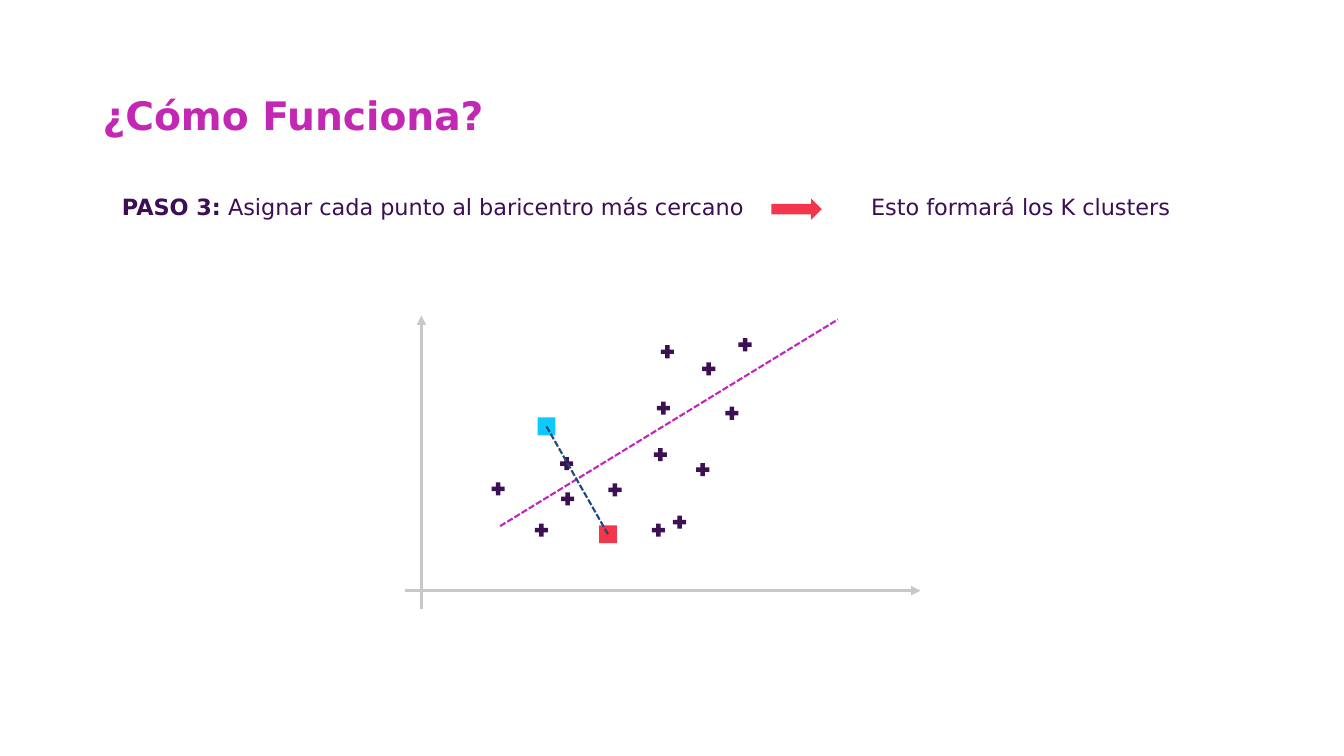
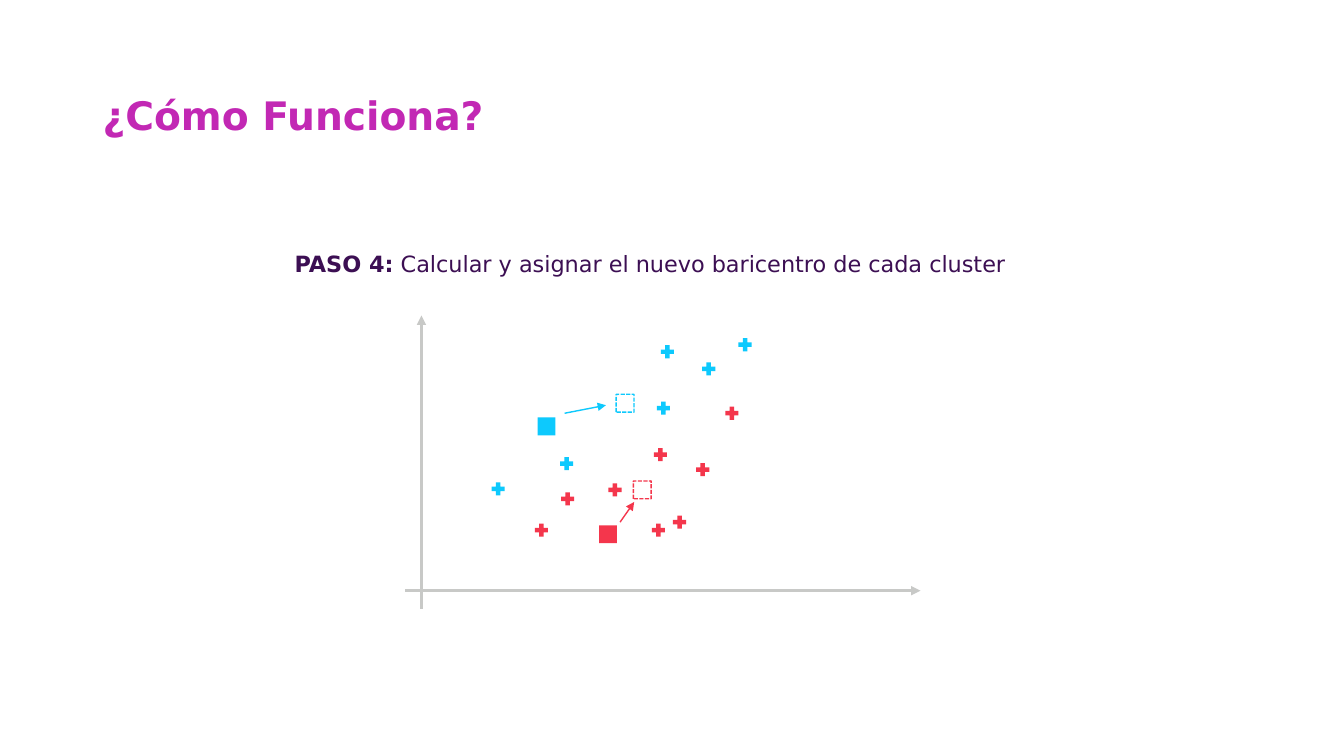
from pptx import Presentation
from pptx.dml.color import RGBColor
from pptx.enum.dml import MSO_LINE
from pptx.enum.shapes import MSO_CONNECTOR, MSO_SHAPE
from pptx.enum.text import MSO_ANCHOR, PP_ALIGN
from pptx.oxml.ns import qn
from pptx.util import Inches, Pt
from lxml.etree import SubElement

FONT = "DejaVu Sans"
COLORS = {
    "title": "C228B4",
    "text": "3C0F53",
    "point": "3C1053",
    "axis": "C8C9C7",
    "border": "C126B8",
    "link": "1F497D",
    "blue": "0DC9FD",
    "red": "F4364C",
}
TITLE = "¿Cómo Funciona?"
STEP_3 = [("PASO 3:", True), (" Asignar cada punto al baricentro más cercano", False)]
STEP_3_RESULT = [("Esto formará los K clusters", False)]
STEP_4 = [("PASO 4:", True), (" Calcular y asignar el nuevo baricentro de cada cluster", False)]

AXES = [((4.18, 6.04), (4.18, 3.13)), ((4.02, 5.86), (9.13, 5.86))]
CLUSTERS = {
    "blue": [(4.94, 4.85), (5.62, 4.6), (6.58, 4.05), (7.03, 3.66), (7.39, 3.42), (6.62, 3.49)],
    "red": [(7.26, 4.1), (5.37, 5.26), (6.55, 4.51), (6.74, 5.18),
            (5.63, 4.95), (6.1, 4.86), (6.53, 5.26), (6.97, 4.66)],
}
CENTROIDS = {"red": (6.03, 5.3), "blue": (5.42, 4.23)}
NEW_CENTROIDS = {"blue": (6.2, 4), "red": (6.37, 4.86)}
MOVES = {"blue": ((5.6, 4.1), (6.01, 4.02)), "red": ((6.15, 5.18), (6.29, 4.98))}
BORDER = ((4.96, 5.22), (8.31, 3.17))
CROSS_SIZE = 0.13
DIAMOND_SIZE = 0.25


def color(name):
    return RGBColor.from_string(COLORS[name])


def add_text(page, left, top, width, height, spans, align=PP_ALIGN.LEFT):
    box = page.shapes.add_textbox(Inches(left), Inches(top), Inches(width), Inches(height))
    frame = box.text_frame
    frame.word_wrap = True
    frame.margin_left = frame.margin_right = Inches(0.05)
    frame.margin_top = frame.margin_bottom = Inches(0.05)
    para = frame.paragraphs[0]
    para.alignment = align
    para.font.name = FONT
    para.font.size = Pt(16)
    para.font.color.rgb = color("text")
    for text, bold in spans:
        span = para.add_run()
        span.text = text
        span.font.bold = bold


def add_title(page):
    box = page.shapes.add_textbox(Inches(0.92), Inches(0.71), Inches(11.5), Inches(0.91))
    frame = box.text_frame
    frame.word_wrap = True
    frame.vertical_anchor = MSO_ANCHOR.MIDDLE
    para = frame.paragraphs[0]
    para.text = TITLE
    para.line_spacing = 0.9
    para.font.name = FONT
    para.font.size = Pt(28)
    para.font.bold = True
    para.font.color.rgb = color("title")


def add_line(page, ends, tint, width, dashed=False, arrow=False):
    (x1, y1), (x2, y2) = ends
    connector = page.shapes.add_connector(
        MSO_CONNECTOR.STRAIGHT, Inches(x1), Inches(y1), Inches(x2), Inches(y2))
    line = connector.line
    line.color.rgb = color(tint)
    line.width = Pt(width)
    if dashed:
        line.dash_style = MSO_LINE.SQUARE_DOT
    properties = connector.element.spPr
    if arrow:
        SubElement(properties.find(qn("a:ln")), qn("a:tailEnd"), type="triangle")
    SubElement(properties, qn("a:effectLst"))


def add_mark(page, kind, center, size, tint, hollow=False):
    x, y = center
    mark = page.shapes.add_shape(
        kind, Inches(x - size / 2), Inches(y - size / 2), Inches(size), Inches(size))
    mark.shadow.inherit = False
    if hollow:
        mark.fill.background()
        mark.line.color.rgb = color(tint)
        mark.line.width = Pt(1)
        mark.line.dash_style = MSO_LINE.SQUARE_DOT
    else:
        mark.fill.solid()
        mark.fill.fore_color.rgb = color(tint)
        mark.line.fill.background()
    return mark


def add_points(page, tint=None):
    for axis in AXES:
        add_line(page, axis, "axis", 2.25, arrow=True)
    for cluster, points in CLUSTERS.items():
        for point in points:
            cross = add_mark(page, MSO_SHAPE.CROSS, point, CROSS_SIZE, tint or cluster)
            cross.adjustments[0] = 0.33


def add_centroids(page, centroids, hollow=False):
    for cluster, center in centroids.items():
        diamond = add_mark(page, MSO_SHAPE.DIAMOND, center, DIAMOND_SIZE, cluster, hollow)
        diamond.rotation = 315


def add_result_arrow(page):
    arrow = page.shapes.add_shape(
        MSO_SHAPE.RIGHT_ARROW, Inches(7.65), Inches(1.97), Inches(0.5), Inches(0.21))
    arrow.shadow.inherit = False
    arrow.fill.solid()
    arrow.fill.fore_color.rgb = color("red")
    arrow.line.fill.background()


def build_assignment(page):
    add_points(page, "point")
    add_line(page, BORDER, "border", 1.5, dashed=True)
    add_centroids(page, CENTROIDS)
    add_line(page, (CENTROIDS["red"], CENTROIDS["blue"]), "link", 1.5, dashed=True)
    add_text(page, 1.16, 1.87, 6.45, 0.37, STEP_3)
    add_text(page, 8.59, 1.87, 3.4, 0.37, STEP_3_RESULT)
    add_result_arrow(page)


def build_update(page):
    add_text(page, 1.45, 2.43, 10, 0.37, STEP_4, PP_ALIGN.CENTER)
    add_points(page)
    add_centroids(page, CENTROIDS)
    add_centroids(page, NEW_CENTROIDS, hollow=True)
    for cluster, ends in MOVES.items():
        add_line(page, ends, cluster, 1, arrow=True)


def main():
    deck = Presentation()
    deck.slide_width = Inches(13.33)
    deck.slide_height = Inches(7.5)
    for build in (build_assignment, build_update):
        page = deck.slides.add_slide(deck.slide_layouts[6])
        add_title(page)
        build(page)
    deck.save("out.pptx")


if __name__ == "__main__":
    main()
